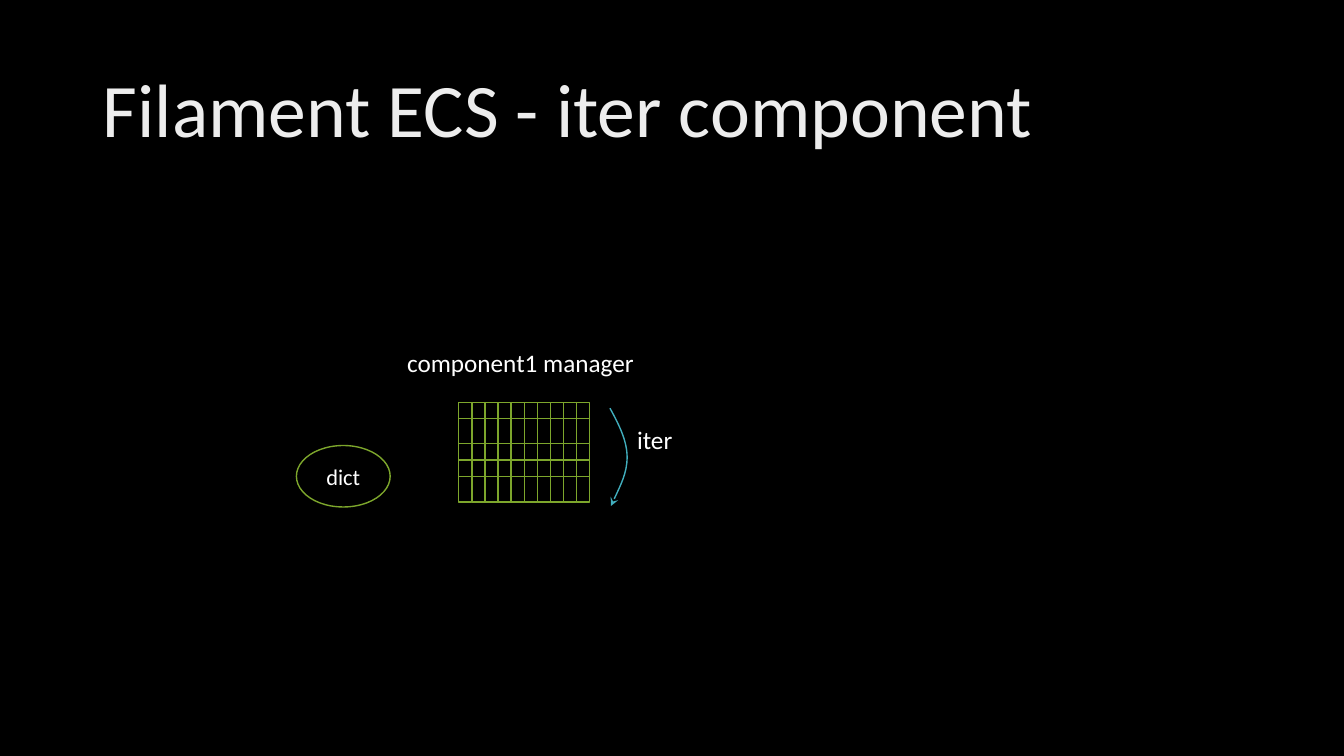
from copy import deepcopy
from itertools import accumulate, product

from lxml.etree import SubElement
from pptx import Presentation
from pptx.dml.color import RGBColor
from pptx.enum.shapes import MSO_SHAPE
from pptx.enum.text import MSO_ANCHOR, PP_ALIGN
from pptx.oxml.ns import qn
from pptx.util import Inches, Pt

COLORS = {
    "background": "000000",
    "text": "FFFFFF",
    "green": "7DA62C",
    "teal": "41AEBD",
}
TITLE_STOPS = [(0, "BFBFBF"), (0.28, "EDEDED"), (1, "FFFFFF")]
FONT = "Calibri"
ROW_HEIGHTS = [0.165, 0.245, 0.165, 0.165, 0.25]
COLUMNS = 10


def rgb(name):
    return RGBColor.from_string(COLORS[name])


def outline(sp, color):
    sp.shadow.inherit = False
    sp.fill.background()
    sp.line.color.rgb = rgb(color)
    sp.line.width = Pt(1)


def write(sp, text, size):
    p = sp.text_frame.paragraphs[0]
    p.text = text
    p.font.name = FONT
    p.font.size = Pt(size)
    p.font.color.rgb = rgb("text")
    return p


def add_title(s, text, x, y, w, h):
    title = s.shapes.title
    title.left, title.top, title.width, title.height = map(Inches, (x, y, w, h))
    tf = title.text_frame
    tf.word_wrap = True
    tf.vertical_anchor = MSO_ANCHOR.MIDDLE
    p = write(title, text, 54)
    p.alignment = PP_ALIGN.LEFT
    p.line_spacing = 0.9
    fill = p.runs[0].font.fill
    fill.gradient()
    fill.gradient_angle = 280
    stop_list = p.runs[0]._r.find(".//" + qn("a:gsLst"))
    stop_list.append(deepcopy(stop_list[-1]))
    for stop, (position, color) in zip(fill.gradient_stops, TITLE_STOPS):
        stop.position = position
        stop.color.rgb = RGBColor.from_string(color)


def add_label(s, text, x, y, w, h):
    box = s.shapes.add_textbox(*map(Inches, (x, y, w, h)))
    box.text_frame.word_wrap = True
    write(box, text, 18)


def add_component_grid(s, x, y, w):
    cells = s.shapes.add_group_shape()
    cell_w = w / COLUMNS
    tops = accumulate(ROW_HEIGHTS, initial=y)
    for (top, h), column in product(zip(tops, ROW_HEIGHTS), range(COLUMNS)):
        box = (x + column * cell_w, top, cell_w, h)
        cell = cells.shapes.add_shape(MSO_SHAPE.RECTANGLE, *map(Inches, box))
        outline(cell, "green")


def add_iter_arrow(s, x, y, w, h):
    curve = [(0.5, 0.16), (1, 0.33), (1, 0.5), (1, 0.66), (0.53, 0.82), (0.06, 1)]
    builder = s.shapes.build_freeform(Inches(x), Inches(y))
    builder.add_line_segments(
        [(Inches(x + u * w), Inches(y + v * h)) for u, v in curve], close=False
    )
    arrow = builder.convert_to_shape()
    outline(arrow, "teal")
    path = arrow._element.find(".//" + qn("a:path"))
    points = [line[0] for line in path.findall(qn("a:lnTo"))]
    for line in path.findall(qn("a:lnTo")):
        path.remove(line)
    for start in (0, 3):
        SubElement(path, qn("a:cubicBezTo")).extend(points[start:start + 3])
    SubElement(arrow.line._get_or_add_ln(), qn("a:tailEnd"), type="stealth")


def add_dict(s, x, y, w, h):
    sp = s.shapes.add_shape(MSO_SHAPE.OVAL, *map(Inches, (x, y, w, h)))
    outline(sp, "green")
    sp.text_frame.vertical_anchor = MSO_ANCHOR.MIDDLE
    write(sp, "dict", 16).alignment = PP_ALIGN.CENTER


def add_manager(s, x, y):
    add_component_grid(s, x + 1.61, y + 0.59, 1.3)
    add_label(s, "component1 manager", x + 1, y, 2.63, 0.4)
    add_iter_arrow(s, x + 3.11, y + 0.65, 0.17, 0.97)
    add_label(s, "iter", x + 3.28, y + 0.76, 1.55, 0.4)
    add_dict(s, x, y + 1.02, 0.93, 0.61)


def main():
    prs = Presentation()
    prs.slide_width, prs.slide_height = Inches(13.33), Inches(7.5)
    s = prs.slides.add_slide(prs.slide_layouts[5])
    s.background.fill.solid()
    s.background.fill.fore_color.rgb = rgb("background")
    add_title(s, "Filament ECS - iter component", 0.92, 0.4, 11.5, 1.45)
    add_manager(s, 2.94, 3.4)
    prs.save("out.pptx")


if __name__ == "__main__":
    main()
